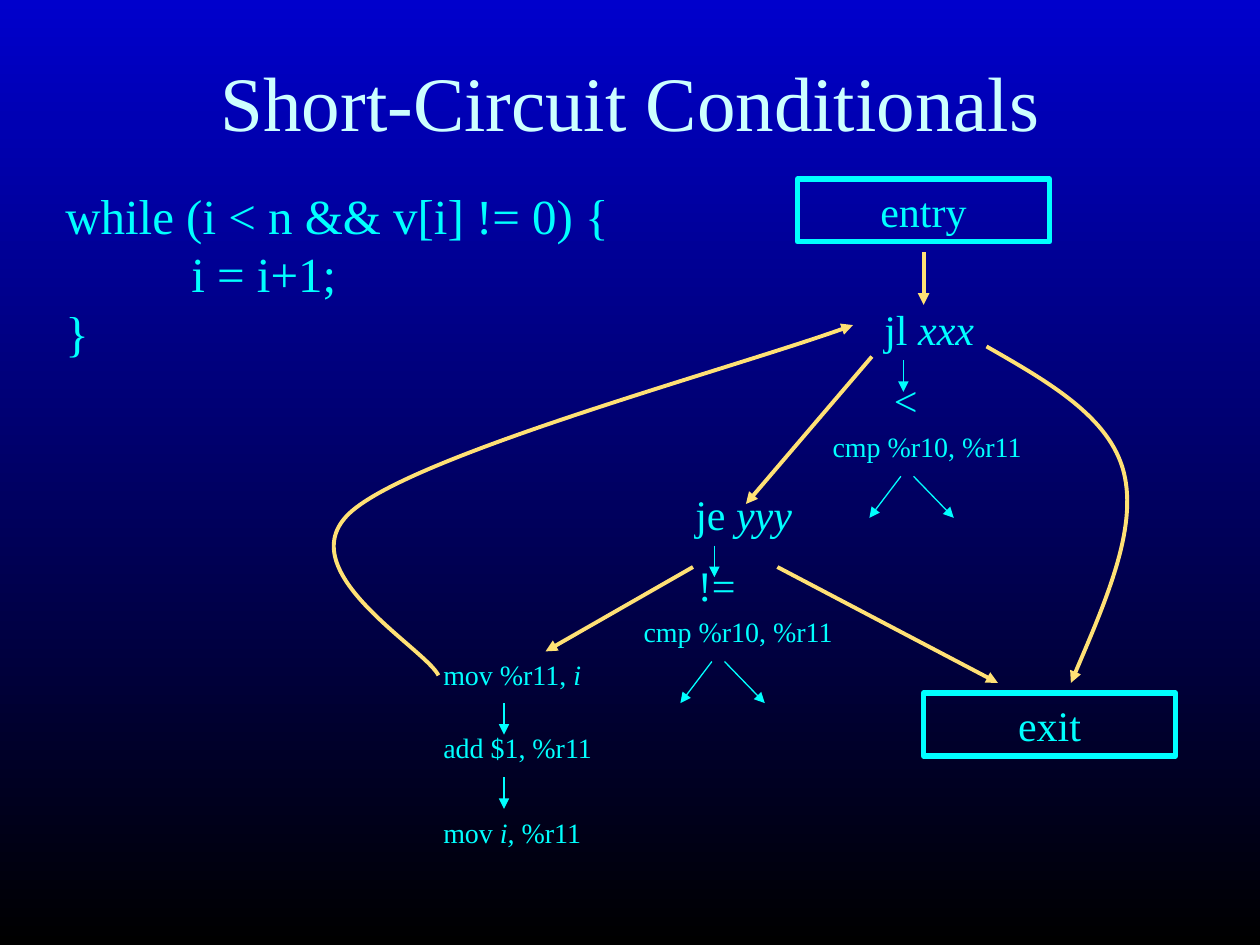
from dataclasses import dataclass

from lxml.etree import SubElement as Sub
from pptx import Presentation as Deck
from pptx.dml.color import RGBColor as Rgb
from pptx.enum.shapes import MSO_CONNECTOR as Link, MSO_SHAPE as Form
from pptx.enum.text import MSO_ANCHOR as Anchor, MSO_AUTO_SIZE as Fit, PP_ALIGN as Align
from pptx.oxml.ns import qn
from pptx.util import Inches, Pt


@dataclass(frozen=True)
class Theme:
    """Hold the colours, type sizes and line widths."""
    font: str = "Times New Roman"
    top: Rgb = Rgb(0, 0, 0xCC)
    base: Rgb = Rgb(0, 0, 0)
    head: Rgb = Rgb(0xCC, 0xFF, 0xFF)
    ink: Rgb = Rgb(0, 0xFF, 0xFF)
    flow: Rgb = Rgb(0xFF, 0xE1, 0x75)
    title: int = 44
    code: int = 28
    node: int = 24
    step: int = 16
    thin: float = 0.75
    bold: float = 2.25
    frame: float = 3


LOOK = Theme()


def put(item, **vals):
    """Set each named value on an item."""
    for key, val in vals.items():
        setattr(item, key, val)


def fill_back(slide):
    """Paint the slide with a vertical gradient."""
    fill = slide.background.fill
    fill.gradient()
    fill.gradient_angle = 270
    for stop, tint, spot in zip(fill.gradient_stops, (LOOK.top, LOOK.base), (0, 1)):
        stop.color.rgb = tint
        stop.position = spot


def write(frame, lines, size, tint=LOOK.ink, align=Align.LEFT, **vals):
    """Write lines in a frame, with starred parts in italics."""
    put(frame, **{"word_wrap": False, **vals})
    for num, line in enumerate(lines):
        para = frame.add_paragraph() if num else frame.paragraphs[0]
        para.alignment = align
        if "\t" in line:
            tabs = Sub(para._p.get_or_add_pPr(), qn("a:tabLst"))
            Sub(tabs, qn("a:tab"), pos=str(Inches(1)), algn="l")
        for part, text in enumerate(line.split("*")):
            if text:
                run = para.add_run()
                run.text = text
                put(run.font, name=LOOK.font, size=Pt(size), italic=part % 2 == 1)
                run.font.color.rgb = tint


def add_text(slide, x, y, w, h, lines, size):
    """Add a text box that fits its lines."""
    box = slide.shapes.add_textbox(*map(Inches, (x, y, w, h)))
    write(box.text_frame, lines, size, auto_size=Fit.SHAPE_TO_FIT_TEXT)


def add_title(slide, text):
    """Add the centred title."""
    box = slide.shapes.add_textbox(*map(Inches, (0.42, 0.17, 9.17, 1.25)))
    write(box.text_frame, [text], LOOK.title, LOOK.head, Align.CENTER,
          word_wrap=True, vertical_anchor=Anchor.MIDDLE)


def add_box(slide, x, y, text):
    """Add a framed end node."""
    box = slide.shapes.add_shape(Form.RECTANGLE, *map(Inches, (x, y, 2, 0.5)))
    box.shadow.inherit = False
    box.fill.background()
    box.line.color.rgb = LOOK.ink
    box.line.width = Pt(LOOK.frame)
    write(box.text_frame, [text], LOOK.node, align=Align.CENTER,
          vertical_anchor=Anchor.MIDDLE)


def stroke(item, tint, width):
    """Style a line and give it an arrowhead."""
    item.line.color.rgb = tint
    item.line.width = Pt(width)
    props = item._element.spPr
    Sub(props.find(qn("a:ln")), qn("a:tailEnd"), type="triangle")
    Sub(props, qn("a:effectLst"))


def add_arrow(slide, start, end, tint=LOOK.ink, width=LOOK.thin):
    """Add a straight arrow."""
    ends = map(Inches, (*start, *end))
    stroke(slide.shapes.add_connector(Link.STRAIGHT, *ends), tint, width)


def add_curve(slide, *spots):
    """Add a flow arrow of cubic curves."""
    first, *rest = [tuple(map(Inches, spot)) for spot in spots]
    pen = slide.shapes.build_freeform(*first)
    pen.add_line_segments(rest, close=False)
    item = pen.convert_to_shape()
    item.fill.background()
    trace = next(item._element.iter(qn("a:path")))
    legs = trace.findall(qn("a:lnTo"))
    for num in range(0, len(legs), 3):
        bend = Sub(trace, qn("a:cubicBezTo"))
        for leg in legs[num:num + 3]:
            bend.append(leg[0])
            trace.remove(leg)
    stroke(item, LOOK.flow, LOOK.bold)


def add_test(slide, x, y, jump, wide, sign, span):
    """Add a jump, its comparison and the fork below."""
    add_text(slide, x, y, wide, 0.5, [jump], LOOK.node)
    add_text(slide, x + 0.27 - span / 2, y + 0.56, span, 0.5, [sign], LOOK.node)
    add_text(slide, x - 0.41, y + 1, 1.71, 0.37, ["cmp %r10, %r11"], LOOK.step)
    for x1, y1, x2, y2 in ((0.25, 0.5, 0.25, 0.75), (0.23, 1.42, -0.02, 1.75),
                           (0.33, 1.42, 0.65, 1.75)):
        add_arrow(slide, (x + x1, y + y1), (x + x2, y + y2))


def main():
    """Build and save the slide."""
    deck = Deck()
    put(deck, slide_width=Inches(10), slide_height=Inches(7.5))
    slide = deck.slides.add_slide(deck.slide_layouts[6])
    fill_back(slide)
    add_title(slide, "Short-Circuit Conditionals")
    add_text(slide, 0.42, 1.42, 4.61, 1.5,
             ["while (i < n && v[i] != 0) {", "\ti = i+1;", "}"], LOOK.code)
    add_box(slide, 6.33, 1.42, "entry")
    add_box(slide, 7.33, 5.5, "exit")

    for start, end in (((7.33, 2), (7.33, 2.42)), ((6.92, 2.83), (5.92, 4)),
                       ((5.5, 4.5), (4.33, 5.17)), ((6.17, 4.5), (7.92, 5.42))):
        add_arrow(slide, start, end, LOOK.flow, LOOK.bold)
    add_curve(slide, (7.83, 2.75), (8.32, 3.03), (8.81, 3.31), (8.92, 3.75),
              (9.03, 4.19), (8.76, 4.81), (8.5, 5.42))
    add_curve(slide, (3.48, 5.36), (3.37, 5.14), (2.25, 4.51), (2.8, 4.05),
              (3.35, 3.59), (5.94, 2.89), (6.77, 2.58))

    add_test(slide, 6.92, 2.36, "jl *xxx*", 0.91, "<", 0.39)
    add_test(slide, 5.42, 3.83, "je *yyy*", 0.97, "!=", 0.5)
    for y, wide, text in ((5.17, 1.3, "mov %r11, *i*"), (5.75, 1.39, "add $1, %r11"),
                          (6.42, 1.36, "mov *i,* %r11")):
        add_text(slide, 3.42, y, wide, 0.37, [text], LOOK.step)
    for y in (5.58, 6.17):
        add_arrow(slide, (4, y), (4, y + 0.25))
    deck.save("out.pptx")


if __name__ == "__main__":
    main()
